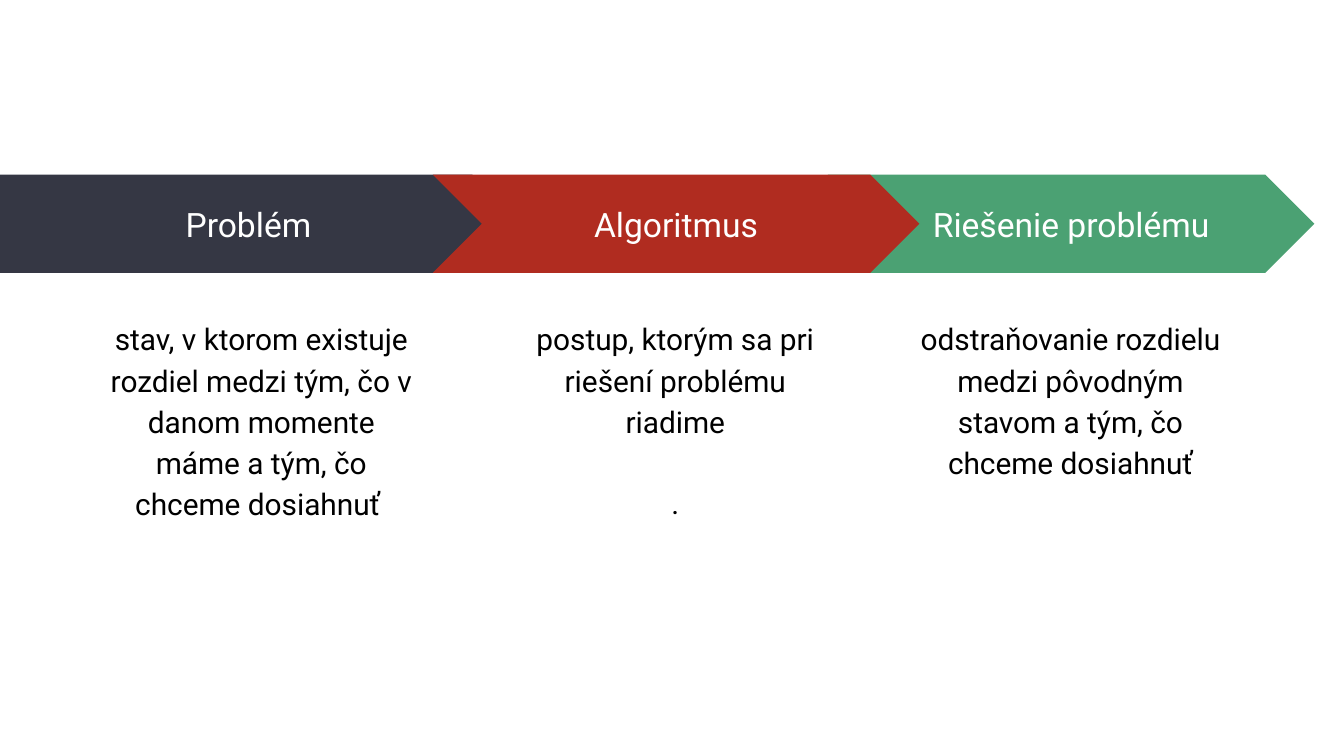
from pptx import Presentation
from pptx.dml.color import RGBColor
from pptx.enum.shapes import MSO_SHAPE as Preset
from pptx.enum.text import MSO_ANCHOR as Anchor, PP_ALIGN as Align
from pptx.util import Inches, Pt

NAVY = RGBColor(0x35, 0x37, 0x44)
RED = RGBColor(0xB0, 0x2C, 0x20)
GREEN = RGBColor(0x4B, 0xA1, 0x73)
WHITE = RGBColor(0xFF, 0xFF, 0xFF)
BLACK = RGBColor(0, 0, 0)

SLIDE_WIDTH = Inches(10)
FRAME = {"word_wrap": True}
FRAME.update({f"margin_{side}": Inches(0.1) for side in ("left", "top", "right", "bottom")})
HEADING = {"name": "Roboto", "size": Pt(18)}
BODY = {"name": "Roboto", "size": Pt(16)}
STEP = 2.94
STEPS = [
    (2, Preset.CHEVRON, 3.22 + STEP, 3.62, GREEN, "Riešenie problému",
     ["odstraňovanie rozdielu medzi pôvodným stavom a tým, čo chceme dosiahnuť"]),
    (0, Preset.PENTAGON, 0, 3.88, NAVY, "Problém",
     ["stav, v ktorom existuje rozdiel medzi tým, čo v danom momente máme a tým, čo chceme dosiahnuť "]),
    (1, Preset.CHEVRON, 3.22, 3.62, RED, "Algoritmus",
     ["postup, ktorým sa pri riešení problému riadime", "."]),
]
BODY_LEFTS = [0.72, 3.8, 3.8 + STEP]


def set_values(target, values):
    for name, value in values.items():
        setattr(target, name, value)


def write(shape, lines, font, color, anchor, line_spacing):
    frame = shape.text_frame
    set_values(frame, FRAME)
    frame.vertical_anchor = anchor
    for index, line in enumerate(lines):
        paragraph = frame.add_paragraph() if index else frame.paragraphs[0]
        set_values(paragraph, {"alignment": Align.CENTER, "line_spacing": line_spacing})
        if index:
            paragraph.space_before = Pt(21.5)
        run = paragraph.add_run()
        run.text = line
        set_values(run.font, font)
        run.font.color.rgb = color


presentation = Presentation()
set_values(presentation, {"slide_width": SLIDE_WIDTH, "slide_height": SLIDE_WIDTH * 9 // 16})
slide = presentation.slides.add_slide(presentation.slide_layouts[6])

for column, preset, left, width, color, heading, description in STEPS:
    arrow = slide.shapes.add_shape(preset, Inches(left), Inches(1.3), Inches(width), Inches(0.73))
    arrow.adjustments[0] = 0.5
    arrow.shadow.inherit = False
    arrow.fill.solid()
    arrow.fill.fore_color.rgb = color
    arrow.line.fill.background()
    write(arrow, [heading], HEADING, WHITE, Anchor.MIDDLE, 1.0)

    body = slide.shapes.add_textbox(Inches(BODY_LEFTS[column]), Inches(2.25), Inches(2.45), Inches(2.86))
    write(body, description, BODY, BLACK, Anchor.TOP, 1.15)

presentation.save("out.pptx")
